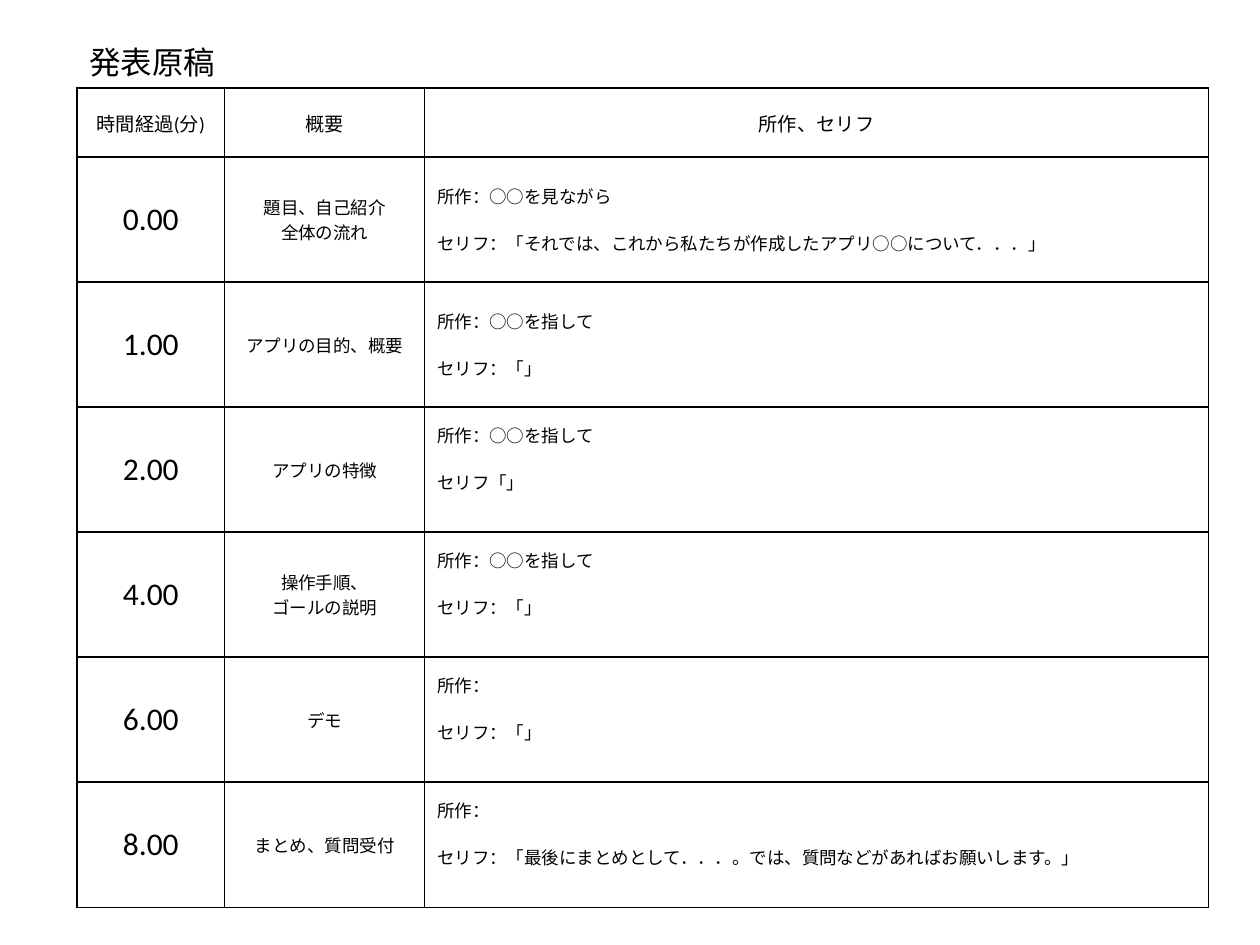
from pptx import Presentation
from pptx.dml.color import RGBColor
from pptx.enum.text import MSO_ANCHOR, MSO_AUTO_SIZE, PP_ALIGN
from pptx.oxml.ns import qn
from pptx.util import Cm, Pt
from lxml.etree import SubElement

FONT, BLACK = "Calibri", "000000"
TITLE = "発表原稿"
HEADINGS = ["時間経過(分)", "概要", "所作、セリフ"]
# elapsed minutes, outline lines, action and speech
SCENES = [
    ("0.00", ["題目、自己紹介", "全体の流れ"],
     ["所作：○○を見ながら",
      "セリフ：「それでは、これから私たちが作成したアプリ○○について．．．」"]),
    ("1.00", ["アプリの目的、概要"], ["所作：○○を指して", "セリフ：「」"]),
    ("2.00", ["アプリの特徴"], ["所作：○○を指して", "セリフ「」"]),
    ("4.00", ["操作手順、", "ゴールの説明"], ["所作：○○を指して", "セリフ：「」"]),
    ("6.00", ["デモ"], ["所作：", "セリフ：「」"]),
    ("8.00", ["まとめ、質問受付"],
     ["所作：",
      "セリフ：「最後にまとめとして．．．。では、質問などがあればお願いします。」"]),
]
LEFT, TOP = 1.55, 1.77
COLUMNS = [2.98, 4.03, 15.8]
HEADER_HEIGHT, SCENE_HEIGHT = 1.4, 2.52
RAISED_FROM = 3  # from this row on, the script text sits above the middle
RAISED_MARGIN = 0.58


def color(value):
    return RGBColor.from_string(value)


def write(frame, lines, size, align=PP_ALIGN.LEFT, gap=0):
    for index, line in enumerate(lines):
        para = frame.paragraphs[0] if index == 0 else frame.add_paragraph()
        para.text = line
        para.alignment = align
        if index and gap:
            para.space_before = Pt(gap)
        para.font.name, para.font.size = FONT, Pt(size)
        para.font.color.rgb = color(BLACK)


def outline(cell):
    """Draw a thin black border on all four sides of a cell."""
    properties = cell._tc.get_or_add_tcPr()
    for index, side in enumerate(("a:lnL", "a:lnR", "a:lnT", "a:lnB")):
        line = properties.makeelement(qn(side), {"w": str(Pt(1))})
        fill = SubElement(line, qn("a:solidFill"))
        SubElement(fill, qn("a:srgbClr"), val=BLACK)
        properties.insert(index, line)


def add_script_table(page):
    heights = [HEADER_HEIGHT] + [SCENE_HEIGHT] * len(SCENES)
    table = page.shapes.add_table(
        len(heights), len(COLUMNS), Cm(LEFT), Cm(TOP),
        Cm(sum(COLUMNS)), Cm(sum(heights))).table
    table.horz_banding = table.first_row = False
    for column, width in zip(table.columns, COLUMNS):
        column.width = Cm(width)
    for row, height in zip(table.rows, heights):
        row.height = Cm(height)
    for cell in table.iter_cells():
        cell.fill.background()
        cell.vertical_anchor = MSO_ANCHOR.MIDDLE
        outline(cell)

    for index, heading in enumerate(HEADINGS):
        write(table.cell(0, index).text_frame, [heading], 11, PP_ALIGN.CENTER)
    for row, (minutes, summary, script) in enumerate(SCENES, 1):
        time_cell, summary_cell, script_cell = table.rows[row].cells
        write(time_cell.text_frame, [minutes], 18, PP_ALIGN.CENTER)
        write(summary_cell.text_frame, summary, 10, PP_ALIGN.CENTER)
        write(script_cell.text_frame, script, 10, gap=12.5)
        if row >= RAISED_FROM:
            script_cell.margin_bottom = Cm(RAISED_MARGIN)


def add_title(page):
    box = page.shapes.add_textbox(Cm(LEFT), Cm(0.74), Cm(3.07), Cm(1.02))
    box.text_frame.word_wrap = False
    box.text_frame.auto_size = MSO_AUTO_SIZE.SHAPE_TO_FIT_TEXT
    write(box.text_frame, [TITLE], 18)


def main():
    deck = Presentation()
    deck.slide_width, deck.slide_height = Cm(25.4), Cm(19.05)
    page = deck.slides.add_slide(deck.slide_layouts[6])
    add_script_table(page)
    add_title(page)
    deck.save("out.pptx")


if __name__ == "__main__":
    main()
